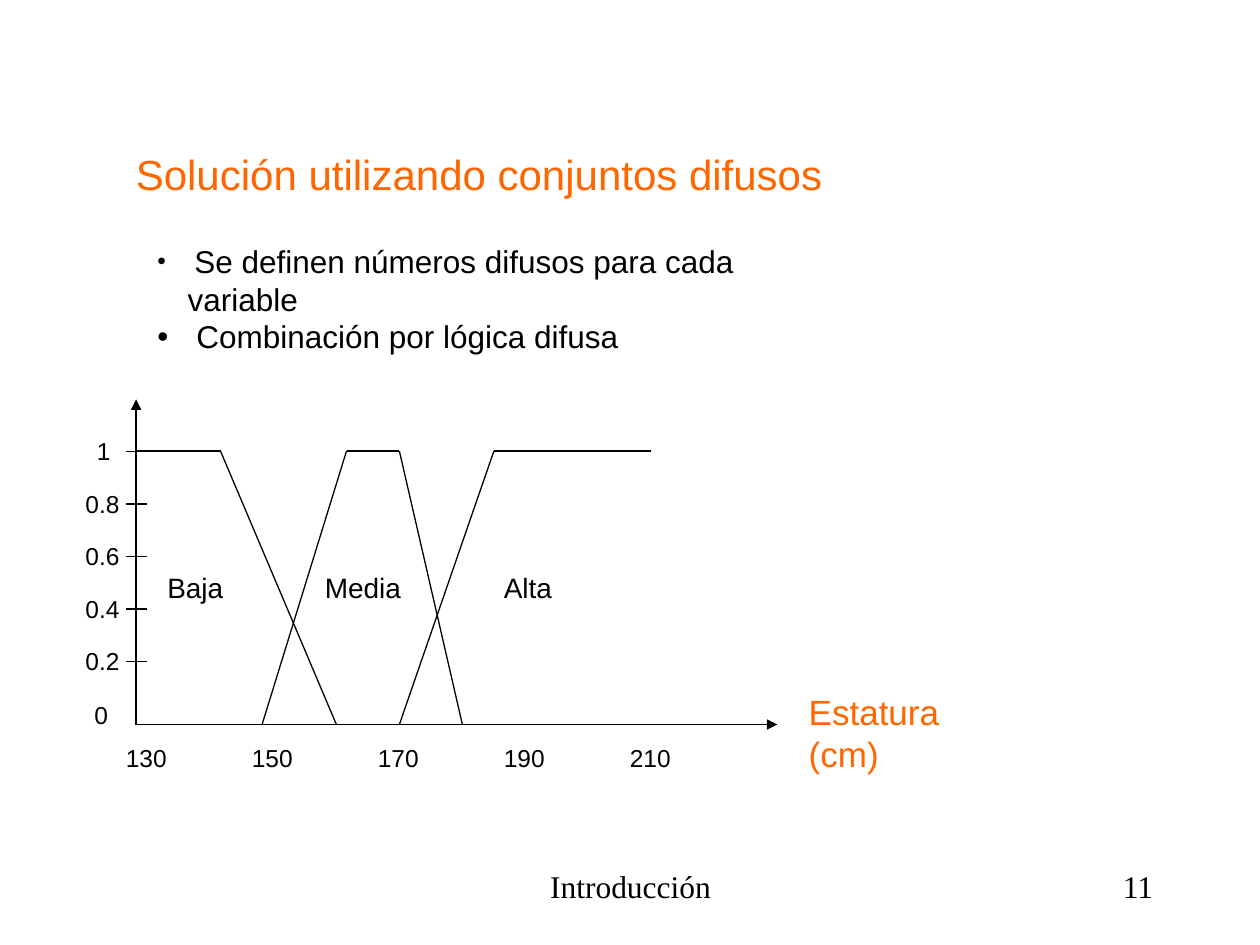
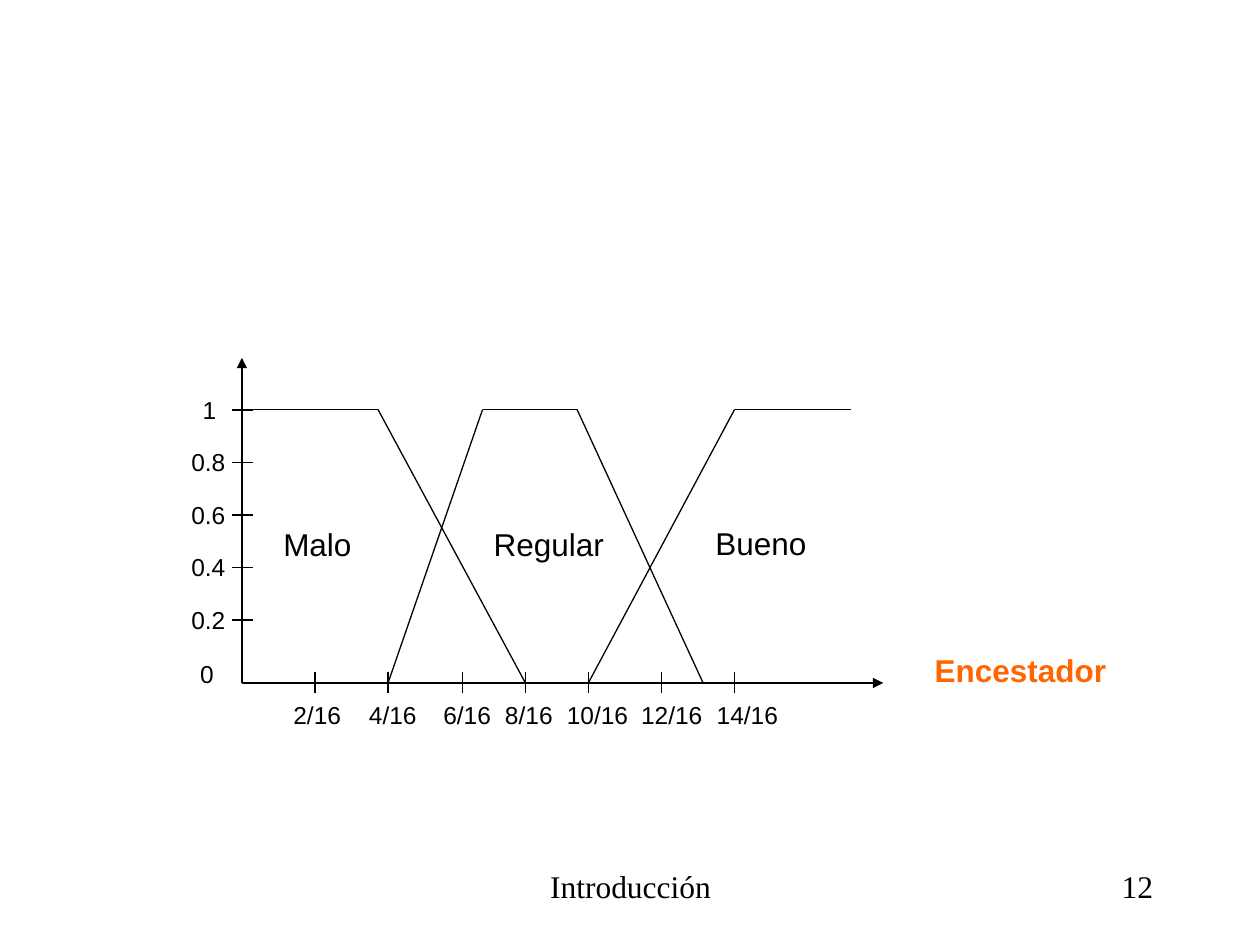
from dataclasses import dataclass
from itertools import pairwise

from lxml.etree import SubElement
from pptx import Presentation
from pptx.dml.color import RGBColor
from pptx.enum.shapes import MSO_CONNECTOR
from pptx.enum.text import PP_ALIGN
from pptx.oxml.ns import qn
from pptx.util import Inches, Pt


@dataclass(frozen=True)
class Theme:
    ink: RGBColor = RGBColor(0x00, 0x00, 0x00)
    accent: RGBColor = RGBColor(0xFF, 0x66, 0x00)
    body_font: str = "Arial"
    footer_font: str = "Times New Roman"
    title_size: int = 24
    axis_title_size: int = 20
    body_size: int = 18
    set_size: int = 16
    scale_size: int = 14
    line_width: float = 0.75


class Deck:
    """Hold the theme and the current slide, and draw each kind of element."""

    def __init__(self, presentation, theme):
        self.presentation = presentation
        self.theme = theme
        self.slide = None

    def start_slide(self, number):
        self.slide = self.presentation.slides.add_slide(self.presentation.slide_layouts[6])
        footer = {"size": self.theme.body_size, "font": self.theme.footer_font}
        self.text("Introducción", 3.42, 6.83, 3.17, 0.5, align=PP_ALIGN.CENTER, wrap=True, **footer)
        self.text(str(number), 7.17, 6.83, 2.08, 0.5, align=PP_ALIGN.RIGHT, wrap=True, **footer)

    def format_run(self, run, size, color=None, font=None, bold=False):
        run.font.size = Pt(size)
        run.font.name = font or self.theme.body_font
        run.font.bold = bold
        run.font.color.rgb = color or self.theme.ink

    def text(self, words, left, top, width, height, size,
             align=PP_ALIGN.LEFT, wrap=False, **style):
        shape = self.slide.shapes.add_textbox(
            Inches(left), Inches(top), Inches(width), Inches(height))
        shape.text_frame.word_wrap = wrap
        shape.text_frame.text = words
        paragraph = shape.text_frame.paragraphs[0]
        paragraph.alignment = align
        for run in paragraph.runs:
            self.format_run(run, size, **style)
        return shape

    def bullets(self, items, left, top, width, height):
        shape = self.slide.shapes.add_textbox(
            Inches(left), Inches(top), Inches(width), Inches(height))
        frame = shape.text_frame
        frame.word_wrap = True
        frame.text = "\n".join(" " for _ in items)
        for paragraph, (words, lead_size) in zip(frame.paragraphs, items):
            paragraph.add_run().text = words
            lead, body = paragraph.runs
            self.format_run(lead, lead_size)
            self.format_run(body, self.theme.body_size)
            properties = paragraph._p.get_or_add_pPr()
            properties.set("marL", str(Inches(0.24)))
            properties.set("indent", str(-Inches(0.24)))
            SubElement(properties, qn("a:buFont"), typeface=self.theme.body_font)
            SubElement(properties, qn("a:buChar"), char="•")

    def line(self, start, end, arrow=False):
        connector = self.slide.shapes.add_connector(
            MSO_CONNECTOR.STRAIGHT, *(Inches(value) for value in (*start, *end)))
        connector.line.color.rgb = self.theme.ink
        connector.line.width = Pt(self.theme.line_width)
        if arrow:
            SubElement(connector.line._get_or_add_ln(), qn("a:tailEnd"), type="triangle")
        SubElement(connector._element.spPr, qn("a:effectLst"))

    def axes(self, x, y):
        self.line((x, y), (x, y - 2.58), arrow=True)
        self.line((x, y), (x + 5.09, y), arrow=True)
        size = self.theme.scale_size
        self.text("0", x - 0.43, y - 0.24, 0.31, 0.33, size)
        for step, label in enumerate(("0.2", "0.4", "0.6", "0.8", "1")):
            level = y - 0.5 - step * 5 / 12
            self.line((x - 0.08, level), (x + 0.09, level))
            inset, width = (0.41, 0.31) if label == "1" else (0.5, 0.47)
            self.text(label, x - inset, level - 0.17, width, 0.33, size)

    def scale_labels(self, labels, left, top, width, tab_stops):
        shape = self.text("\t".join(labels), left, top, width, 0.33,
                          self.theme.scale_size, wrap=True)
        properties = shape.text_frame.paragraphs[0]._p.get_or_add_pPr()
        tabs = SubElement(properties, qn("a:tabLst"))
        for stop in tab_stops:
            SubElement(tabs, qn("a:tab"), pos=str(Inches(stop)), algn="l")

    def fuzzy_sets(self, base, curves):
        heights = (base, base - 2.17)
        for curve in curves:
            points = [(x, heights[membership]) for x, membership in curve]
            for start, end in pairwise(points):
                self.line(start, end)

    def set_names(self, names, size, height):
        for name, left, top, width in names:
            self.text(name, left, top, width, height, size)


def build_height_slide(deck):
    theme = deck.theme
    deck.start_slide(11)
    deck.text("Solución utilizando conjuntos difusos", 0.98, 1.13, 5.66, 0.5,
              theme.title_size, color=theme.accent)
    deck.bullets([("Se definen números difusos para cada variable", theme.scale_size),
                  ("Combinación por lógica difusa", theme.body_size)],
                 1.15, 1.87, 5.55, 0.7)
    origin_x, base = 1.08, 5.75
    deck.axes(origin_x, base)
    deck.scale_labels([str(height) for height in range(130, 211, 20)],
                      0.9, 5.85, 4.7, range(1, 5))
    deck.fuzzy_sets(base, [
        [(origin_x, 1), (1.75, 1), (2.67, 0)],
        [(2.08, 0), (2.75, 1), (3.17, 1), (3.67, 0)],
        [(3.17, 0), (3.92, 1), (5.17, 1)],
    ])
    deck.text("Estatura (cm)", 6.32, 5.43, 1.86, 0.43, theme.axis_title_size,
              color=theme.accent, wrap=True)
    deck.set_names([("Baja", 1.23, 4.48, 0.64), ("Media", 2.48, 4.48, 0.81),
                    ("Alta", 3.9, 4.48, 0.58)], theme.set_size, 0.37)


def build_scorer_slide(deck):
    theme = deck.theme
    deck.start_slide(12)
    origin_x, base = 1.92, 5.42
    deck.axes(origin_x, base)
    for x in (2.5, 3.08, 3.67, 4.17, 4.67, 5.25, 5.83):
        deck.line((x, base - 0.09), (x, base + 0.08))
    deck.scale_labels([f"{hits}/16" for hits in range(2, 15, 2)],
                      2.23, 5.51, 4.13, (0.6, 1.19, 1.68, 2.17, 2.76, 3.36))
    deck.fuzzy_sets(base, [
        [(origin_x, 1), (3, 1), (4.17, 0)],
        [(3.08, 0), (3.83, 1), (4.58, 1), (5.58, 0)],
        [(4.67, 0), (5.83, 1), (6.75, 1)],
    ])
    deck.text("Encestador", 7.32, 5.12, 1.56, 0.4, theme.body_size,
              color=theme.accent, bold=True)
    deck.set_names([("Malo", 2.15, 4.12, 0.74), ("Regular", 3.82, 4.12, 1.08),
                    ("Bueno", 5.58, 4.11, 0.92)], theme.body_size, 0.4)


def main():
    presentation = Presentation()
    presentation.slide_width = Inches(10)
    presentation.slide_height = Inches(7.5)
    deck = Deck(presentation, Theme())
    build_height_slide(deck)
    build_scorer_slide(deck)
    presentation.save("out.pptx")


if __name__ == "__main__":
    main()
